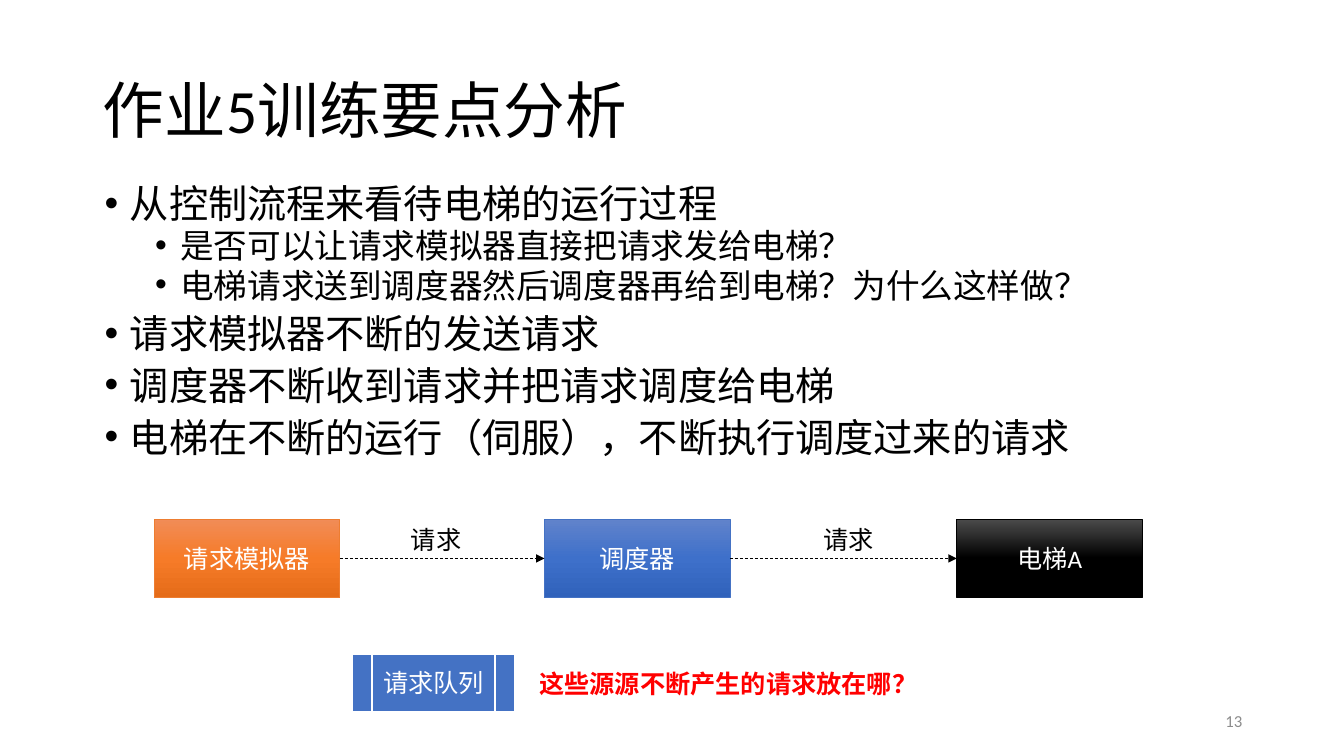
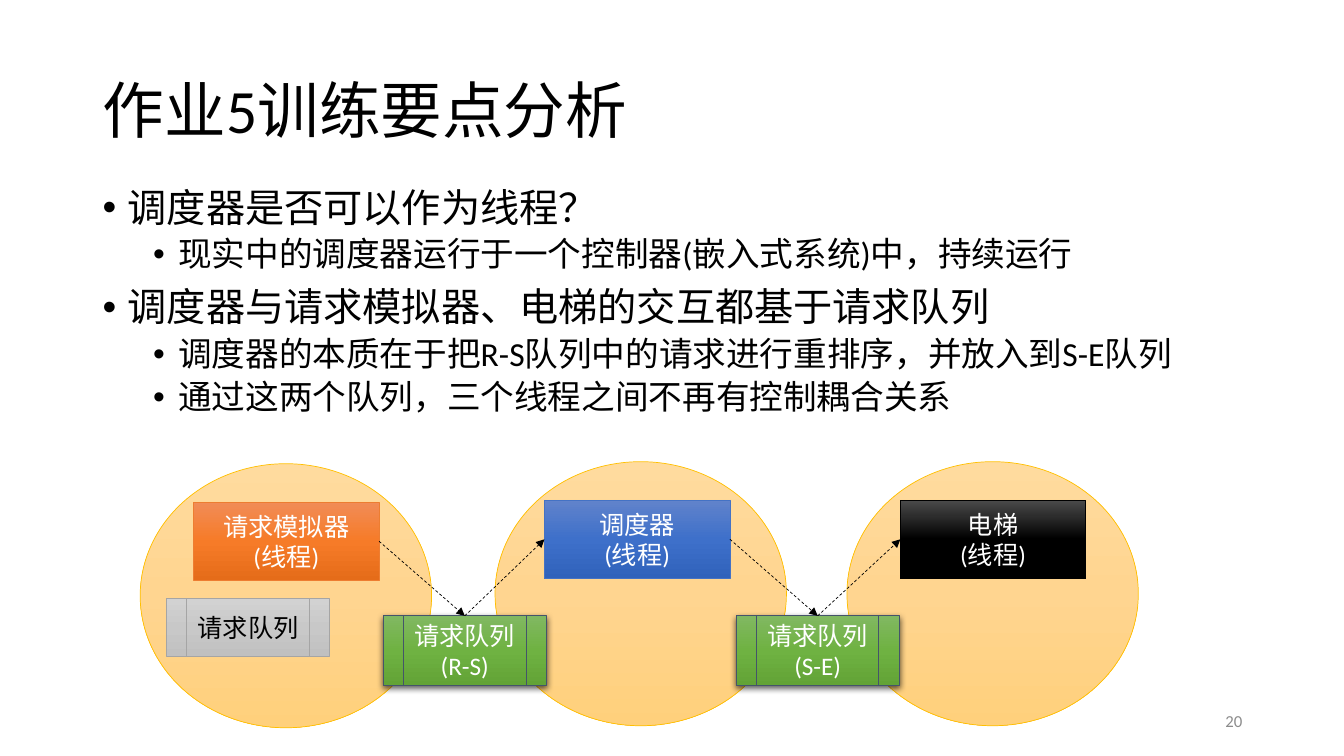
from lxml import etree
from pptx import Presentation
from pptx import util as u
from pptx.dml.color import RGBColor
from pptx.enum import dml, shapes, text
from pptx.oxml.ns import qn

COLORS = {
    "ink": "000000", "paper": "FFFFFF", "alert": "FF0000", "number": "8C8C8C",
    "blue": "4472C4", "orange": "ED7D31", "gold": "FFC000", "gray": "A5A5A5",
    "slate": "44546A",
}
GRADIENTS = {
    "blue": ("6183CB", "3E70CA", "3062BB"),
    "orange": ("F18C57", "F67B28", "E56C19"),
    "ink": ("4B4B4B", "000000", "000000"),
    "gold": ("FFDB9E", "FFD590", "FFD07C"),
    "green": ("81B861", "6FB242", "62A336"),
    "gray": ("D2D2D2", "C8C8C8", "C0C0C0"),
}
FONT = "Calibri"
TITLE = "作业5训练要点分析"
TOP, LEFT, RIGHT = 0, 1, 3
BOX_SIZE = (1.84, 0.78)
QUEUE_SIZE = (1.62, 0.57)
NAMED_QUEUE_SIZE = (1.62, 0.69)
LABEL_SIZE = (0.71, 0.4)
THREAD_SIZE = (2.89, 2.62)


def color(name):
    return RGBColor.from_string(COLORS[name])


class Lecture:
    def __init__(self):
        self.deck = Presentation()
        self.deck.slide_width = u.Inches(13.33)
        self.deck.slide_height = u.Inches(7.5)
        self.page = None

    def add_page(self, number):
        self.page = self.deck.slides.add_slide(self.deck.slide_layouts[5])
        title = self.page.shapes.title
        title.left, title.top = u.Inches(0.92), u.Inches(0.4)
        title.width, title.height = u.Inches(11.5), u.Inches(1.45)
        self.set_text(title, TITLE, 44, align=text.PP_ALIGN.LEFT)
        title.text_frame.paragraphs[0].line_spacing = 0.9
        self.text_box(number, (9.42, 6.95), (3, 0.4), 12, "number",
                      text.PP_ALIGN.RIGHT, wrap=True)

    def set_text(self, box, words, size=18, ink="ink",
                 align=text.PP_ALIGN.CENTER, bold=False,
                 anchor=text.MSO_ANCHOR.MIDDLE, wrap=True):
        frame = box.text_frame
        frame.text = words
        frame.word_wrap = wrap
        frame.auto_size = text.MSO_AUTO_SIZE.NONE
        frame.vertical_anchor = anchor
        for para in frame.paragraphs:
            para.alignment = align
            for span in para.runs:
                span.font.name = FONT
                span.font.size = u.Pt(size)
                span.font.bold = bold
                span.font.color.rgb = color(ink)

    def text_box(self, words, place, size, points=18, ink="ink",
                 align=text.PP_ALIGN.CENTER, bold=False, wrap=False):
        box = self.page.shapes.add_textbox(*map(u.Inches, place + size))
        self.set_text(box, words, points, ink, align, bold, wrap=wrap)

    def bullets(self, left, spacing, items):
        box = self.page.shapes.add_textbox(
            u.Inches(left), u.Inches(1.82), u.Inches(11.5), u.Inches(2.96))
        self.set_text(box, "\n".join(words for level, words in items), 28,
                      align=text.PP_ALIGN.LEFT, anchor=text.MSO_ANCHOR.TOP)
        paragraphs = box.text_frame.paragraphs
        properties = list(box.element.iter(qn("a:pPr")))
        for para, props, (level, words) in zip(paragraphs, properties, items):
            para.level = level
            para.line_spacing = spacing
            para.space_before = u.Pt(5 if level else 10)
            para.runs[0].font.size = u.Pt(24 if level else 28)
            props.set("marL", str(u.Inches(0.25 + 0.5 * level)))
            props.set("indent", str(-u.Inches(0.25)))
            etree.SubElement(props, qn("a:buFont"), typeface="Arial")
            etree.SubElement(props, qn("a:buChar"), char="•")

    def shape(self, kind, place, size, line, weight=0.5, gradient=None):
        box = self.page.shapes.add_shape(kind, *map(u.Inches, place + size))
        box.shadow.inherit = False
        box.line.color.rgb = color(line)
        box.line.width = u.Pt(weight)
        if gradient:
            self.shade(box, GRADIENTS[gradient])
        return box

    def shade(self, box, tones):
        box.fill.gradient()
        box.fill.gradient_angle = 270
        stops = box.element.spPr.find(qn("a:gradFill")).find(qn("a:gsLst"))
        for stop in list(stops):
            stops.remove(stop)
        for index, tone in enumerate(tones):
            stop = etree.SubElement(stops, qn("a:gs"), pos=str(index * 50000))
            etree.SubElement(stop, qn("a:srgbClr"), val=tone)

    def block(self, words, place, tone):
        box = self.shape(shapes.MSO_SHAPE.RECTANGLE, place, BOX_SIZE, tone,
                         gradient=tone)
        self.set_text(box, words, ink="paper")
        return box

    def thread(self, place):
        self.shape(shapes.MSO_SHAPE.OVAL, place, THREAD_SIZE, "gold",
                   gradient="gold")

    def queue(self, words, place, size, line, weight, ink="paper",
              gradient=None):
        box = self.shape(shapes.MSO_SHAPE.FLOWCHART_PREDEFINED_PROCESS, place,
                         size, line, weight, gradient)
        if not gradient:
            box.fill.solid()
            box.fill.fore_color.rgb = color("blue")
        self.set_text(box, words, ink=ink)
        return box

    def named_queue(self, name, place):
        box = self.queue(f"请求队列\n({name})", place, NAMED_QUEUE_SIZE,
                         "slate", 0.75, gradient="green")
        effects = box.element.spPr.find(qn("a:effectLst"))
        shadow = etree.SubElement(
            effects, qn("a:outerShdw"), blurRad=str(u.Pt(4.5)),
            dist=str(u.Pt(1.5)), dir="5400000", algn="ctr", rotWithShape="0")
        tone = etree.SubElement(shadow, qn("a:srgbClr"), val=COLORS["ink"])
        etree.SubElement(tone, qn("a:alpha"), val="63000")
        return box

    def arrow(self, start, start_side, end, end_side):
        arrow = self.page.shapes.add_connector(
            shapes.MSO_CONNECTOR.STRAIGHT, 0, 0, 0, 0)
        arrow.begin_connect(start, start_side)
        arrow.end_connect(end, end_side)
        arrow.line.color.rgb = color("ink")
        arrow.line.width = u.Pt(0.5)
        arrow.line.dash_style = dml.MSO_LINE.DASH
        props = arrow.element.spPr
        etree.SubElement(props.find(qn("a:ln")), qn("a:tailEnd"), type="triangle")
        etree.SubElement(props, qn("a:effectLst"))


def control_flow(lecture):
    lecture.add_page("13")
    lecture.bullets(0.94, 0.8, [
        (0, "从控制流程来看待电梯的运行过程"),
        (1, "是否可以让请求模拟器直接把请求发给电梯？"),
        (1, "电梯请求送到调度器然后调度器再给到电梯？为什么这样做？"),
        (0, "请求模拟器不断的发送请求"),
        (0, "调度器不断收到请求并把请求调度给电梯"),
        (0, "电梯在不断的运行（伺服），不断执行调度过来的请求"),
    ])
    simulator = lecture.block("请求模拟器", (1.53, 5.15), "orange")
    scheduler = lecture.block("调度器", (5.4, 5.15), "blue")
    elevator = lecture.block("电梯A", (9.49, 5.15), "ink")
    for start, end in ((simulator, scheduler), (scheduler, elevator)):
        lecture.arrow(start, RIGHT, end, LEFT)
    for left in (3.97, 8.06):
        lecture.text_box("请求", (left, 5.15), LABEL_SIZE)
    lecture.queue("请求队列", (3.49, 6.49), QUEUE_SIZE, "paper", 1.5)
    lecture.text_box("这些源源不断产生的请求放在哪？", (5.25, 6.58), (4.01, 0.4),
                     ink="alert", align=text.PP_ALIGN.LEFT, bold=True)


def request_queues(lecture):
    lecture.add_page("20")
    for place in ((1.39, 4.6), (4.91, 4.58), (8.4, 4.58)):
        lecture.thread(place)
    lecture.bullets(0.92, 0.9, [
        (0, "调度器是否可以作为线程？"),
        (1, "现实中的调度器运行于一个控制器(嵌入式系统)中，持续运行"),
        (0, "调度器与请求模拟器、电梯的交互都基于请求队列"),
        (1, "调度器的本质在于把R-S队列中的请求进行重排序，并放入到S-E队列"),
        (1, "通过这两个队列，三个线程之间不再有控制耦合关系"),
    ])
    simulator = lecture.block("请求模拟器\n(线程)", (1.92, 4.98), "orange")
    scheduler = lecture.block("调度器\n(线程)", (5.4, 4.96), "blue")
    elevator = lecture.block("电梯\n(线程)", (8.93, 4.96), "ink")
    lecture.queue("请求队列", (1.65, 5.94), QUEUE_SIZE, "gray", 0.5, "ink", "gray")
    incoming = lecture.named_queue("R-S", (3.8, 6.11))
    outgoing = lecture.named_queue("S-E", (7.3, 6.11))
    for sender, queue, receiver in ((simulator, incoming, scheduler),
                                    (scheduler, outgoing, elevator)):
        lecture.arrow(sender, RIGHT, queue, TOP)
        lecture.arrow(queue, TOP, receiver, LEFT)


def main():
    lecture = Lecture()
    control_flow(lecture)
    request_queues(lecture)
    lecture.deck.save("out.pptx")


if __name__ == "__main__":
    main()
